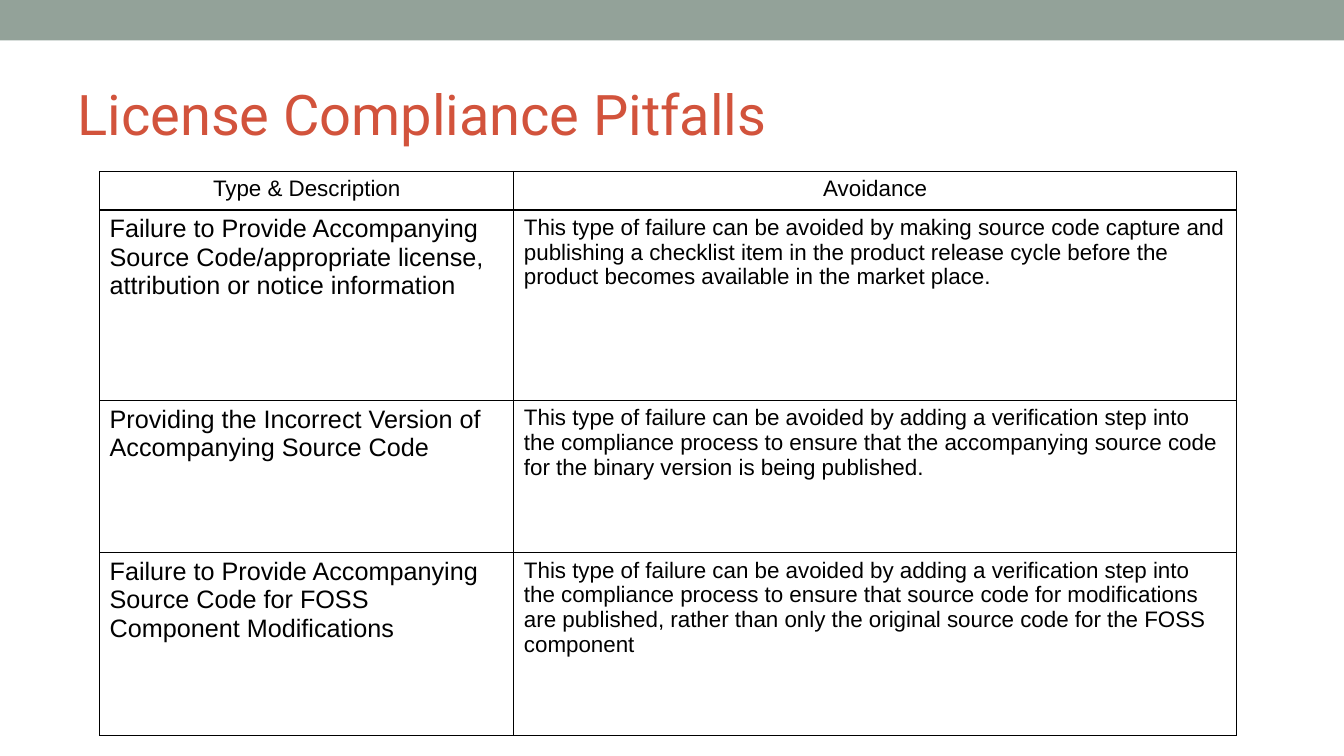
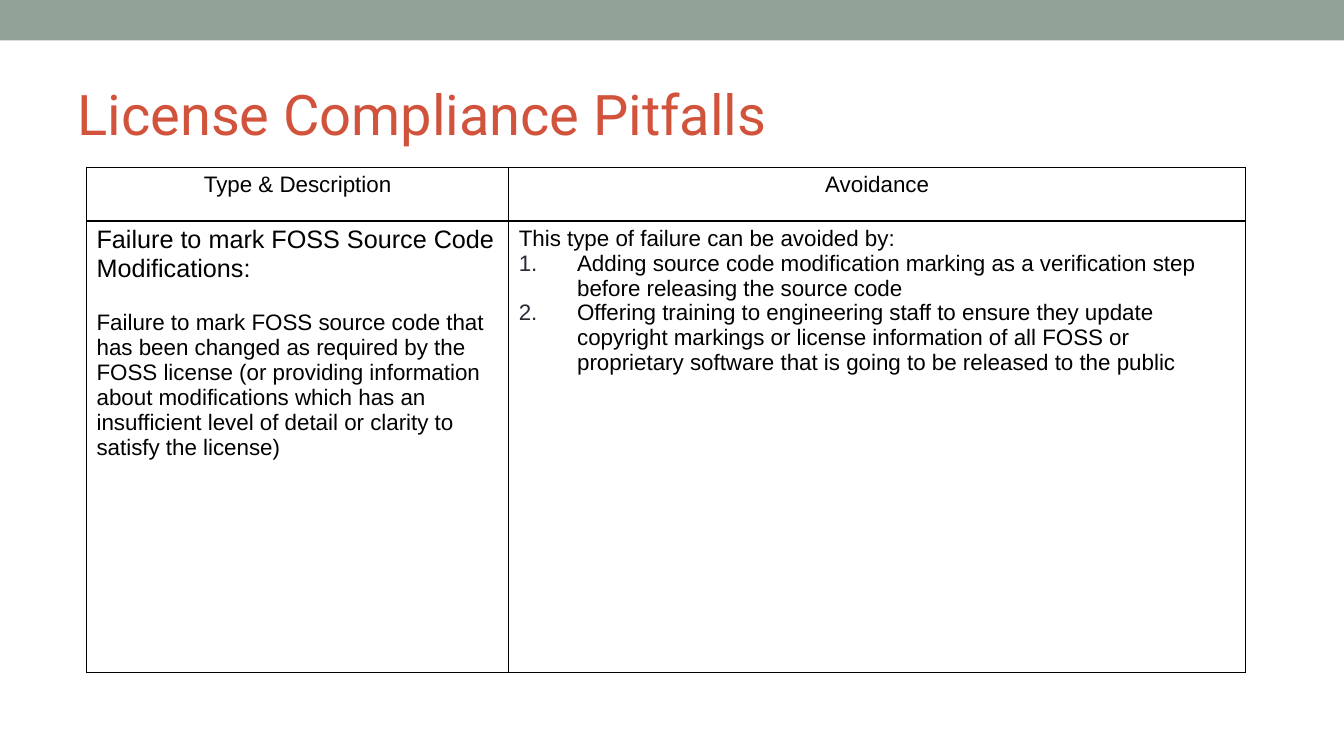
from dataclasses import dataclass
from typing import Any

from lxml.etree import SubElement
from pptx import Presentation
from pptx.dml.color import RGBColor
from pptx.enum.shapes import MSO_SHAPE
from pptx.enum.text import MSO_ANCHOR, MSO_AUTO_SIZE, PP_ALIGN
from pptx.oxml.ns import qn
from pptx.util import Cm, Pt


# Shared look
@dataclass(frozen=True)
class Theme:
    band: str = "93A299"
    title: str = "D2533C"
    text: str = "000000"
    number: str = "292934"
    title_font: str = "Roboto"
    body_font: str = "Arial"
    title_size: int = 40
    topic_size: int = 18
    body_size: int = 16
    border: float = 1


THEME = Theme()
SLIDE_WIDTH, SLIDE_HEIGHT = Cm(33.87), Cm(19.05)
NUMBER_INDENT = Cm(1.47)


@dataclass(frozen=True)
class Line:
    text: str
    size: int = THEME.body_size
    align: Any = PP_ALIGN.LEFT
    numbered: bool = False
    space_before: int = 0


@dataclass(frozen=True)
class Pitfall:
    description: list[Line]
    avoidance: list[Line]


@dataclass(frozen=True)
class PitfallTable:
    left: float
    top: float
    columns: tuple[float, ...]
    rows: tuple[float, ...]
    pitfalls: list[Pitfall]


def topic(text: str) -> Line:
    return Line(text, THEME.topic_size)


HEADER = Pitfall([Line("Type & Description", align=PP_ALIGN.CENTER)],
                 [Line("Avoidance", align=PP_ALIGN.CENTER)])

TITLE = "License Compliance Pitfalls"
TABLES = [
    PitfallTable(2.51, 4.32, (10.44, 18.21), (0.97, 4.8, 3.84, 4.6), [
        Pitfall(
            [topic("Failure to Provide Accompanying Source Code/appropriate license, "
                   "attribution or notice information")],
            [Line("This type of failure can be avoided by making source code capture and "
                  "publishing a checklist item in the product release cycle before the "
                  "product becomes available in the market place.")]),
        Pitfall(
            [topic("Providing the Incorrect Version of Accompanying Source Code")],
            [Line("This type of failure can be avoided by adding a verification step into "
                  "the compliance process to ensure that the accompanying source code for "
                  "the binary version is being published.")]),
        Pitfall(
            [topic("Failure to Provide Accompanying Source Code for FOSS Component "
                   "Modifications")],
            [Line("This type of failure can be avoided by adding a verification step into "
                  "the compliance process to ensure that source code for modifications are "
                  "published, rather than only the original source code for the FOSS "
                  "component")]),
    ]),
    PitfallTable(2.18, 4.22, (10.64, 18.57), (1.35, 11.38), [
        Pitfall(
            [topic("Failure to mark FOSS Source Code Modifications:"),
             Line("Failure to mark FOSS source code that has been changed as required by "
                  "the FOSS license (or providing information about modifications which "
                  "has an insufficient level of detail or clarity to satisfy the license)",
                  space_before=20)],
            [Line("This type of failure can be avoided by:"),
             Line("Adding source code modification marking as a verification step before "
                  "releasing the source code", numbered=True),
             Line("Offering training to engineering staff to ensure they update copyright "
                  "markings or license information of all FOSS or proprietary software "
                  "that is going to be released to the public", numbered=True)]),
    ]),
]


def apply_format(target: Any, values: dict[str, Any]) -> None:
    for name, value in values.items():
        setattr(target, name, value)


def format_font(font: Any, name: str, size: int, color: str) -> None:
    apply_format(font, {"name": name, "size": Pt(size), "bold": False})
    font.color.rgb = RGBColor.from_string(color)


# Layout: band and title position
def prepare_layout(presentation: Any) -> Any:
    layout = presentation.slide_layouts.get_by_name("Title Only")
    title = next(shape for shape in layout.placeholders
                 if shape.placeholder_format.idx == 0)
    apply_format(title, {"left": Cm(1.7), "top": Cm(1.47),
                         "width": Cm(30.48), "height": Cm(2.74)})
    return layout


def move_band_to_layout(slide: Any, layout: Any) -> None:
    band = slide.shapes.add_shape(MSO_SHAPE.RECTANGLE, 0, 0, SLIDE_WIDTH, Cm(1.02))
    band.shadow.inherit = False
    band.fill.solid()
    band.fill.fore_color.rgb = RGBColor.from_string(THEME.band)
    band.line.fill.background()
    layout.shapes.element.insert(2, band.element)


def write_title(slide: Any, text: str) -> None:
    frame = slide.shapes.title.text_frame
    frame.text = text
    apply_format(frame, {"vertical_anchor": MSO_ANCHOR.MIDDLE, "word_wrap": True,
                         "auto_size": MSO_AUTO_SIZE.NONE})
    paragraph = frame.paragraphs[0]
    paragraph.alignment = PP_ALIGN.LEFT
    format_font(paragraph.runs[0].font, THEME.title_font, THEME.title_size, THEME.title)


# Table cells
def add_color(parent: Any, color: str) -> None:
    SubElement(parent, qn("a:srgbClr"), val=color)


def number_paragraph(paragraph: Any) -> None:
    properties = paragraph._p.get_or_add_pPr()
    properties.set("marL", str(NUMBER_INDENT))
    properties.set("indent", str(-NUMBER_INDENT))
    add_color(SubElement(properties, qn("a:buClr")), THEME.number)
    SubElement(properties, qn("a:buFont"), typeface=THEME.body_font)
    SubElement(properties, qn("a:buAutoNum"), type="arabicPeriod")


def draw_borders(cell: Any) -> None:
    properties = cell._tc.get_or_add_tcPr()
    for side in ("lnL", "lnR", "lnT", "lnB"):
        line = SubElement(properties, qn(f"a:{side}"), w=str(Pt(THEME.border)))
        add_color(SubElement(line, qn("a:solidFill")), THEME.text)


def fill_cell(cell: Any, lines: list[Line]) -> None:
    draw_borders(cell)
    cell.fill.background()
    frame = cell.text_frame
    for index, line in enumerate(lines):
        paragraph = frame.add_paragraph() if index else frame.paragraphs[0]
        paragraph.alignment = line.align
        if line.space_before:
            paragraph.space_before = Pt(line.space_before)
        if line.numbered:
            number_paragraph(paragraph)
        run = paragraph.add_run()
        run.text = line.text
        format_font(run.font, THEME.body_font, line.size, THEME.text)


def add_pitfall_table(slide: Any, content: PitfallTable) -> None:
    table = slide.shapes.add_table(
        len(content.rows), len(content.columns), Cm(content.left), Cm(content.top),
        Cm(sum(content.columns)), Cm(sum(content.rows))).table
    apply_format(table, {"first_row": False, "horz_banding": False})
    for column, width in zip(table.columns, content.columns):
        column.width = Cm(width)
    for row, height, pitfall in zip(table.rows, content.rows, [HEADER, *content.pitfalls]):
        row.height = Cm(height)
        for cell, lines in zip(row.cells, (pitfall.description, pitfall.avoidance)):
            fill_cell(cell, lines)


def main() -> None:
    presentation = Presentation()
    apply_format(presentation, {"slide_width": SLIDE_WIDTH, "slide_height": SLIDE_HEIGHT})
    layout = prepare_layout(presentation)
    for index, content in enumerate(TABLES):
        slide = presentation.slides.add_slide(layout)
        if index == 0:
            move_band_to_layout(slide, layout)
        write_title(slide, TITLE)
        add_pitfall_table(slide, content)
    presentation.save("out.pptx")


if __name__ == "__main__":
    main()
